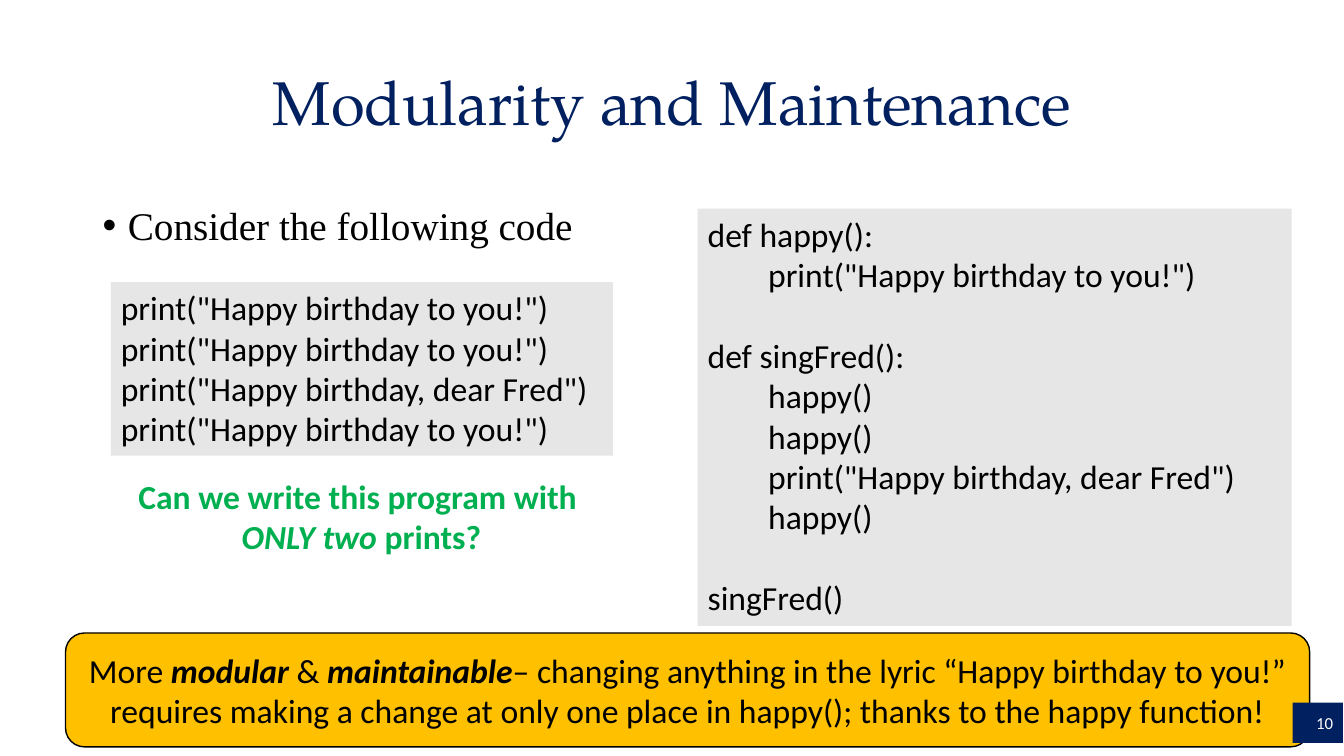
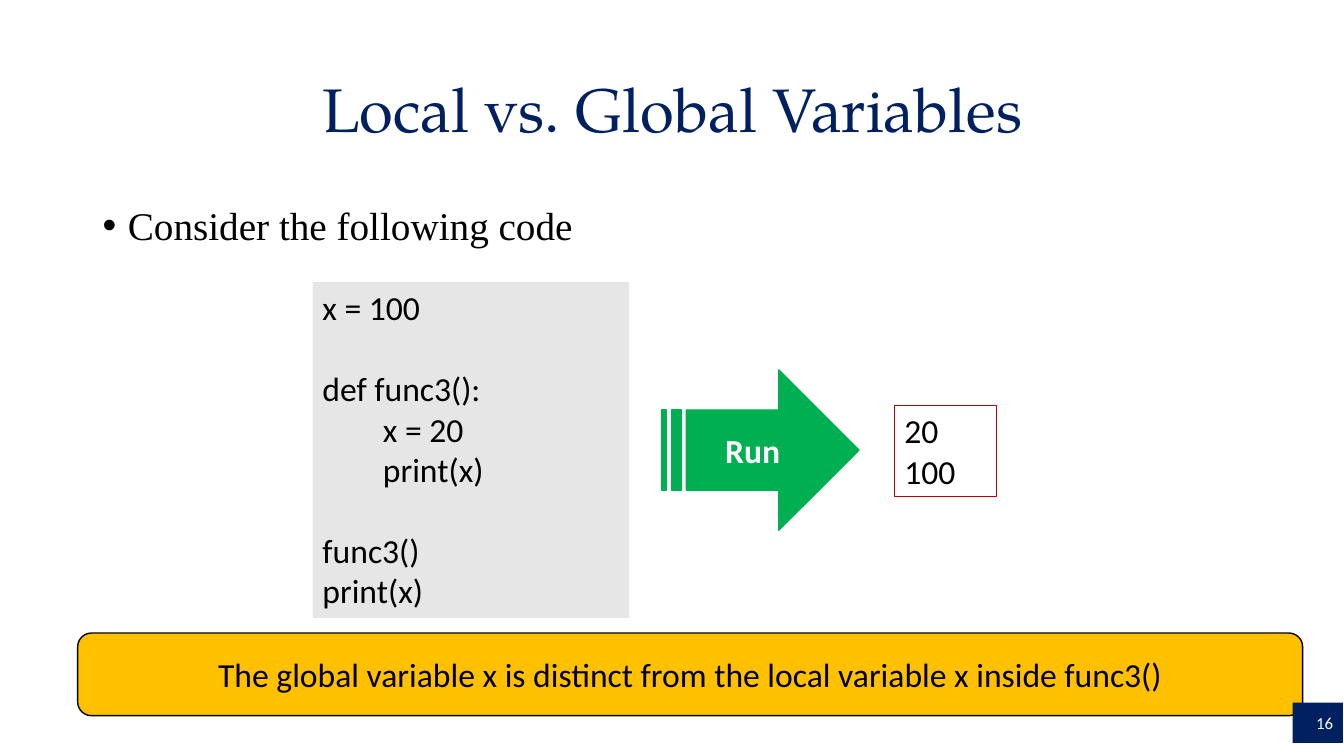
"""Build two lecture slides on Python functions and variable scope."""
from dataclasses import dataclass

from pptx import Presentation
from pptx import util as u
from pptx.dml.color import RGBColor
from pptx.enum import shapes, text
from pptx.oxml import parse_xml
from pptx.oxml.ns import nsdecls

PX = 9144
LEFT, CENTER, RIGHT = text.PP_ALIGN.LEFT, text.PP_ALIGN.CENTER, text.PP_ALIGN.RIGHT
TOP, MIDDLE = text.MSO_ANCHOR.TOP, text.MSO_ANCHOR.MIDDLE
RECT = shapes.MSO_SHAPE.RECTANGLE
STRONG = {"bold": True, "italic": True}


@dataclass(frozen=True)
class Theme:
    navy: str = "002060"
    green: str = "00B050"
    amber: str = "FFC000"
    gray: str = "E7E6E6"
    red: str = "C00000"
    black: str = "000000"
    white: str = "FFFFFF"
    title_font: str = "TeX Gyre Pagella"
    bullet_font: str = "Times New Roman"
    body_font: str = "Calibri"
    title_size: int = 44
    bullet_size: int = 28
    body_size: int = 24
    number_size: int = 12
    blank_line: int = 29
    code_indent: int = 60


THEME = Theme()


def px(value):
    return u.Emu(value * PX)


def apply(target, values):
    for name, value in values.items():
        setattr(target, name, value)


def place(shape, area):
    apply(shape, dict(zip(("left", "top", "width", "height"), map(px, area))))


def write(shape, lines, color=THEME.black, size=THEME.body_size,
          font=THEME.body_font, align=LEFT, anchor=TOP, **style):
    """Fill a shape with lines, each a list of (text, font values) spans."""
    frame = shape.text_frame
    apply(frame, {"word_wrap": True, "auto_size": text.MSO_AUTO_SIZE.NONE,
                  "vertical_anchor": anchor})
    for index, spans in enumerate(lines):
        para = frame.add_paragraph() if index else frame.paragraphs[0]
        para.alignment = align
        for words, values in spans:
            span = para.add_run()
            span.text = words
            span.font.color.rgb = RGBColor.from_string(color)
            apply(span.font, {"name": font, "size": u.Pt(size), **style, **values})
    return frame.paragraphs


def add_box(page, area, kind=RECT, fill=None, line=None, line_width=1):
    box = page.shapes.add_shape(kind, *map(px, area))
    box.shadow.inherit = False
    if fill:
        box.fill.solid()
        box.fill.fore_color.rgb = RGBColor.from_string(fill)
    else:
        box.fill.background()
    if line:
        box.line.color.rgb = RGBColor.from_string(line)
        box.line.width = u.Pt(line_width)
    else:
        box.line.fill.background()
    return box


def add_page(deck, title, title_top, number):
    page = deck.slides.add_slide(deck.slide_layouts[5])
    place(page.shapes.title, (92, title_top, 1150, 145))
    para = write(page.shapes.title, [[(title, {})]], THEME.navy, THEME.title_size,
                 THEME.title_font, CENTER, MIDDLE)[0]
    para.line_spacing = 0.9
    add_bullet(page, "Consider the following code")
    return page, number


def add_bullet(page, words):
    box = page.shapes.add_textbox(*map(px, (92, 200, 560, 60)))
    para = write(box, [[(words, {})]], size=THEME.bullet_size, font=THEME.bullet_font)[0]
    apply(para, {"line_spacing": 0.9, "space_before": u.Pt(10)})
    props = para._p.get_or_add_pPr()
    props.set("marL", str(px(25)))
    props.set("indent", str(px(-25)))
    for xml in ('<a:buFont {} typeface="Arial"/>', '<a:buChar {} char="•"/>'):
        props.append(parse_xml(xml.format(nsdecls("a"))))


def add_code(page, area, source):
    """Show code, turning indents and blank lines into paragraph formats."""
    rows = source.split("\n")
    kept = [index for index, row in enumerate(rows) if row]
    box = add_box(page, area, fill=THEME.gray)
    paras = write(box, [[(rows[index].strip(), {})] for index in kept])
    for index, para in zip(kept, paras):
        if rows[index].startswith(" "):
            para._p.get_or_add_pPr().set("marL", str(px(THEME.code_indent)))
        if index and not rows[index - 1]:
            para.space_before = u.Pt(THEME.blank_line)


def add_banner(page, area, spans):
    box = add_box(page, area, shapes.MSO_SHAPE.ROUNDED_RECTANGLE, THEME.amber, THEME.black)
    write(box, [spans], align=CENTER, anchor=MIDDLE)


def add_number(page, number):
    box = add_box(page, (1282, 697, 50, 40), fill=THEME.navy)
    write(box, [[(number, {})]], THEME.white, THEME.number_size, align=RIGHT, anchor=MIDDLE)


def build_modularity(deck):
    page, number = add_page(deck, "Modularity and Maintenance", 32, "10")
    add_code(page, (110, 280, 498, 172), '''print("Happy birthday to you!")
print("Happy birthday to you!")
print("Happy birthday, dear Fred")
print("Happy birthday to you!")''')
    question = page.shapes.add_textbox(*map(px, (115, 467, 487, 91)))
    write(question, [[("Can we write this program with ", {})],
                     [("ONLY two ", {"italic": True}), ("prints?", {})]],
          THEME.green, align=CENTER, bold=True)
    add_code(page, (692, 207, 589, 414), '''def happy():
    print("Happy birthday to you!")

def singFred():
    happy()
    happy()
    print("Happy birthday, dear Fred")
    happy()

singFred()''')
    add_banner(page, (65, 628, 1234, 113), [
        ("More ", {}), ("modular", STRONG), (" & ", {}), ("maintainable", STRONG),
        ("– changing anything in the lyric “Happy birthday to you!” requires making "
         "a change at only one place in happy(); thanks to the happy function!", {})])
    add_number(page, number)


def build_scope(deck):
    page, number = add_page(deck, "Local vs. Global Variables", 39, "16")
    add_code(page, (310, 280, 314, 333), '''x = 100

def func3():
    x = 20
    print(x)

func3()
print(x)''')
    arrow = add_box(page, (656, 367, 196, 159), shapes.MSO_SHAPE.STRIPED_RIGHT_ARROW,
                    THEME.green, THEME.green)
    write(arrow, [[("Run", {})]], THEME.white, align=CENTER, anchor=MIDDLE, bold=True)
    output = add_box(page, (887, 402, 101, 91), line=THEME.red, line_width=0.75)
    write(output, [[("20", {})], [("100", {})]])
    add_banner(page, (77, 628, 1215, 82), [
        ("The global variable x is distinct from the local variable x inside func3()", {})])
    add_number(page, number)


def main():
    deck = Presentation()
    apply(deck, {"slide_width": px(1333), "slide_height": px(750)})
    build_modularity(deck)
    build_scope(deck)
    deck.save("out.pptx")


if __name__ == "__main__":
    main()
